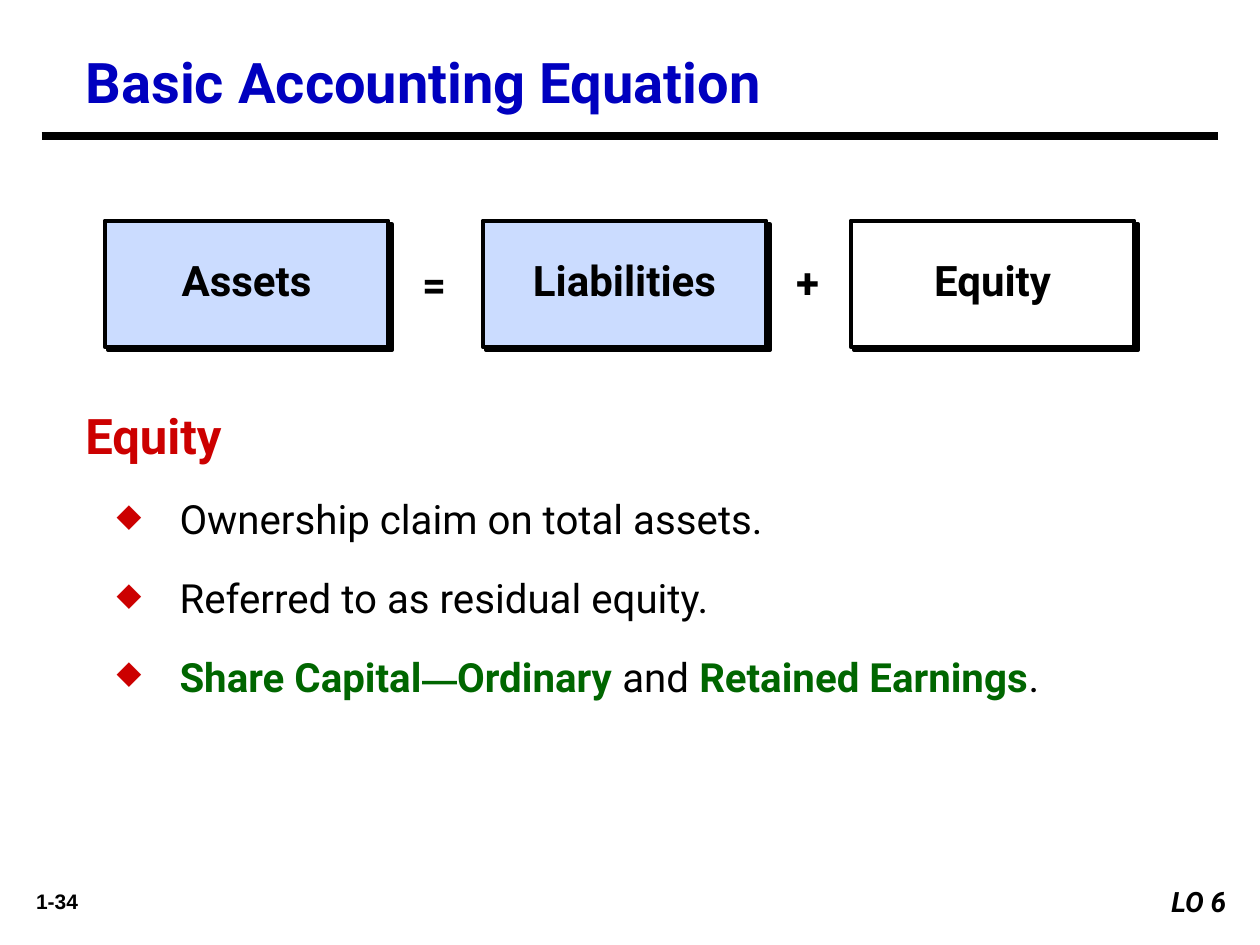
import pptx
import pptx.dml.color
import pptx.enum.shapes
import pptx.enum.text
import pptx.oxml
import pptx.oxml.ns
import pptx.util

Cm = pptx.util.Cm
Pt = pptx.util.Pt
RGBColor = pptx.dml.color.RGBColor
ALIGN = pptx.enum.text.PP_ALIGN
ANCHOR = pptx.enum.text.MSO_ANCHOR
qn = pptx.oxml.ns.qn

BLACK = RGBColor(0x00, 0x00, 0x00)
WHITE = RGBColor(0xFF, 0xFF, 0xFF)
BLUE = RGBColor(0x00, 0x00, 0xBF)
RED = RGBColor(0xCC, 0x00, 0x00)
GREEN = RGBColor(0x00, 0x66, 0x00)
PALE_BLUE = RGBColor(0xCB, 0xDC, 0xFF)

TERM = {"size": Pt(24), "bold": True}
BODY = {"size": Pt(23)}
KEY = {"size": Pt(23), "bold": True, "color": GREEN}
DASH = KEY | {"size": Pt(20), "name": "Arial"}

BULLETS = [
    [("Ownership claim on total assets.", BODY)],
    [("Referred to as residual equity.", BODY)],
    [("Share Capital", KEY), ("—", DASH), ("Ordinary ", KEY), ("and ", BODY),
     ("Retained Earnings", KEY), (".", BODY)],
]


def set_values(target, values):
    """Set each named attribute of the target."""
    for name, value in values.items():
        setattr(target, name, value)


def add_span(para, text, style):
    """Add a run of text with the given font values."""
    span = para.add_run()
    span.text = text
    values = {"name": "Roboto", "bold": False, "color": BLACK} | style
    span.font.color.rgb = values.pop("color")
    set_values(span.font, values)


def fill_text(box, text, style, align=ALIGN.LEFT, **frame_values):
    """Write one paragraph in a shape."""
    values = {"word_wrap": True, "vertical_anchor": ANCHOR.TOP,
              "auto_size": pptx.enum.text.MSO_AUTO_SIZE.NONE}
    set_values(box.text_frame, values | frame_values)
    para = box.text_frame.paragraphs[0]
    para.alignment = align
    add_span(para, text, style)


def add_label(page, area, text, style, align=ALIGN.LEFT):
    """Add a text box with one line."""
    fill_text(page.shapes.add_textbox(*map(Cm, area)), text, style, align)


def add_title(page, area, text):
    """Place and format the title placeholder."""
    title = page.shapes.title
    set_values(title, dict(zip(("left", "top", "width", "height"), map(Cm, area))))
    fill_text(title, text, {"size": Pt(32), "bold": True, "color": BLUE})


def add_rule(page, left, right, top):
    """Draw the heavy line below the title."""
    rule = page.shapes.add_connector(
        pptx.enum.shapes.MSO_CONNECTOR.STRAIGHT, Cm(left), Cm(top), Cm(right), Cm(top))
    rule.line.color.rgb = BLACK
    rule.line.width = Pt(4.5)
    pptx.oxml.ns  # namespace helpers
    rule._element.spPr.append(pptx.oxml.parse_xml(
        f'<a:effectLst {pptx.oxml.ns.nsdecls("a")}/>'))


def add_term(page, left, text, fill):
    """Draw one boxed term of the equation with a hard shadow."""
    box = page.shapes.add_shape(pptx.enum.shapes.MSO_SHAPE.RECTANGLE,
                                Cm(left), Cm(4.45), Cm(5.72), Cm(2.54))
    box.fill.solid()
    box.fill.fore_color.rgb = fill
    box.line.color.rgb = BLACK
    box.line.width = Pt(2.25)
    box.shadow.inherit = False
    box._element.spPr.find(qn("a:effectLst")).append(pptx.oxml.parse_xml(
        f'<a:outerShdw {pptx.oxml.ns.nsdecls("a")} dist="{Pt(2.8)}" dir="2700000" '
        f'algn="ctr" rotWithShape="0"><a:srgbClr val="{BLACK}"/></a:outerShdw>'))
    fill_text(box, text, TERM, ALIGN.CENTER, vertical_anchor=ANCHOR.MIDDLE,
              margin_left=Cm(0.5), margin_right=Cm(0.5),
              margin_top=Cm(0), margin_bottom=Cm(0.18))


def add_bullets(page, area, items):
    """Add the list with red diamond bullets."""
    frame = page.shapes.add_textbox(*map(Cm, area)).text_frame
    frame.word_wrap = True
    for index, spans in enumerate(items):
        para = frame.add_paragraph() if index else frame.paragraphs[0]
        set_values(para, {"level": 1, "line_spacing": 1.2,
                          "space_before": Pt(12 if index else 0)})
        properties = para._p.get_or_add_pPr()
        properties.set("marL", str(Cm(1.9)))
        properties.set("indent", str(-Cm(1.27)))
        for tag in (f'buClr {{}}><a:srgbClr val="{RED}"/></a:buClr',
                    'buSzPct {} val="80000"/', 'buChar {} char="◆"/'):
            properties.append(pptx.oxml.parse_xml(
                "<a:" + tag.format(pptx.oxml.ns.nsdecls("a")) + ">"))
        for text, style in spans:
            add_span(para, text, style)


def main():
    """Build the slide and save the deck."""
    deck = pptx.Presentation()
    set_values(deck, {"slide_width": Cm(25.4), "slide_height": Cm(19.05)})
    page = deck.slides.add_slide(deck.slide_layouts[5])
    add_title(page, (1.47, 0.84, 22.43, 1.55), "Basic Accounting Equation")
    add_rule(page, 0.84, 24.56, 2.74)
    for left, text, fill in ((2.11, "Assets", PALE_BLUE),
                             (9.73, "Liabilities", PALE_BLUE),
                             (17.15, "Equity", WHITE)):
        add_term(page, left, text, fill)
    add_label(page, (8.26, 5.08, 1.22, 1.27), "=", TERM)
    add_label(page, (15.67, 5.05, 1.22, 1.27), "+", TERM, ALIGN.CENTER)
    add_label(page, (1.47, 8.05, 11.23, 1.27), "Equity",
              {"size": Pt(28), "bold": True, "color": RED})
    add_bullets(page, (1.47, 9.65, 22.86, 4.78), BULLETS)
    add_label(page, (0.2, 17.78, 1.9, 0.76), "1-34",
              {"size": Pt(12), "bold": True, "name": "Arial"}, ALIGN.CENTER)
    add_label(page, (22.86, 17.7, 2.11, 0.94), "LO 6",
              {"size": Pt(16), "bold": True, "italic": True}, ALIGN.RIGHT)
    deck.save("out.pptx")


if __name__ == "__main__":
    main()
